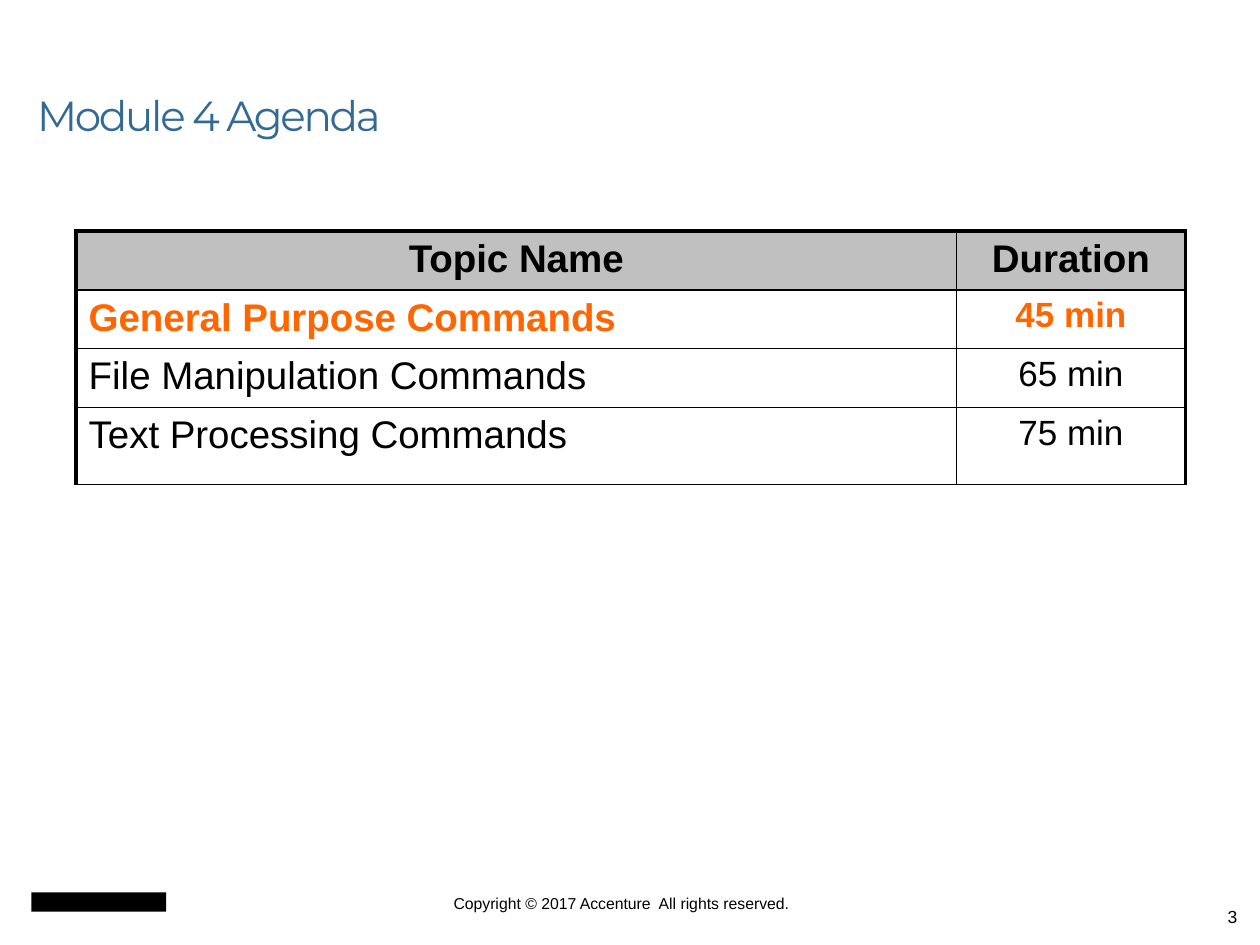
from dataclasses import dataclass

from lxml.etree import SubElement
from pptx import Presentation
from pptx.dml.color import RGBColor
from pptx.enum.shapes import MSO_SHAPE
from pptx.enum.text import MSO_ANCHOR, MSO_AUTO_SIZE, PP_ALIGN
from pptx.oxml.ns import qn
from pptx.slide import Slide
from pptx.table import Table, _Cell
from pptx.text.text import _Paragraph
from pptx.util import Pt


@dataclass(frozen=True)
class Theme:
    """Colours, fonts, type sizes and line widths."""

    ink: str = "000000"
    blue: str = "326A94"
    hot: str = "FF6600"
    head: str = "C0C0C0"
    face: str = "Arial"
    thin_face: str = "Montserrat"
    title: float = 24
    topic: float = 22
    time: float = 20
    page: float = 10
    legal: float = 9
    thick: float = 2.25
    thin: float = 1


@dataclass(frozen=True)
class Row:
    """One agenda line."""

    topic: str
    time: str
    color: str = "000000"
    bold: bool = False
    head: bool = False
    height: float = 31.5


@dataclass(frozen=True)
class Note:
    """One small text at the foot of the slide."""

    text: str
    box: tuple[float, float, float, float]
    size: float
    align: PP_ALIGN
    inset: tuple[float, float]


THEME = Theme()
ROWS = (
    Row("Topic Name", "Duration", bold=True, head=True),
    Row("General Purpose Commands", "45 min", THEME.hot, True),
    Row("File Manipulation Commands", "65 min"),
    Row("Text Processing Commands", "75 min", height=44),
)
WIDTHS = (503, 131)
NOTES = (
    Note("Copyright © 2017 Accenture  All rights reserved.",
         (198, 511, 314, 11), THEME.legal, PP_ALIGN.CENTER, (0, 0)),
    Note("3", (546, 514, 168, 26), THEME.page, PP_ALIGN.RIGHT, (7.2, 3.6)),
)


def style(par: _Paragraph, size: float, color: str = THEME.ink,
          face: str = THEME.face, bold: bool = False) -> None:
    """Set the font of a whole paragraph."""
    font = par.font
    font.name, font.size, font.bold = face, Pt(size), bold
    font.color.rgb = RGBColor.from_string(color)


def add_title(slide: Slide, text: str) -> None:
    """Place and fill the title."""
    title = slide.shapes.title
    title.left, title.top, title.width, title.height = map(Pt, (14, 12, 642, 72))
    frame = title.text_frame
    frame.auto_size = MSO_AUTO_SIZE.NONE
    frame.vertical_anchor = MSO_ANCHOR.BOTTOM
    par = frame.paragraphs[0]
    par.alignment, par.line_spacing = PP_ALIGN.LEFT, 0.9
    run = par.add_run()
    run.text = text
    run._r.get_or_add_rPr().set("spc", "-130")
    style(par, THEME.title, THEME.blue, THEME.thin_face)


def add_note(slide: Slide, note: Note) -> None:
    """Draw one foot text."""
    frame = slide.shapes.add_textbox(*map(Pt, note.box)).text_frame
    frame.word_wrap = True
    frame.margin_left = frame.margin_right = Pt(note.inset[0])
    frame.margin_top = frame.margin_bottom = Pt(note.inset[1])
    par = frame.paragraphs[0]
    par.text, par.alignment = note.text, note.align
    style(par, note.size)


def add_edges(cell: _Cell, first: bool, top: bool) -> None:
    """Rule a cell, heavier along the left, right and top of the table."""
    heavy = {"L": first, "R": not first, "T": top, "B": False}
    props = cell._tc.get_or_add_tcPr()
    for spot, (side, wide) in enumerate(heavy.items()):
        width = Pt(THEME.thick if wide else THEME.thin)
        line = SubElement(props, qn(f"a:ln{side}"), w=str(width))
        fill = SubElement(line, qn("a:solidFill"))
        SubElement(fill, qn("a:srgbClr"), val=THEME.ink)
        props.insert(spot, line)


def fill_row(table: Table, num: int, row: Row) -> None:
    """Write and format one table row."""
    table.rows[num].height = Pt(row.height)
    for col, text in enumerate((row.topic, row.time)):
        cell = table.cell(num, col)
        if row.head:
            cell.fill.solid()
            cell.fill.fore_color.rgb = RGBColor.from_string(THEME.head)
        else:
            cell.fill.background()
        add_edges(cell, col == 0, row.head)
        par = cell.text_frame.paragraphs[0]
        par.text = text
        mid = row.head or col == 1
        par.alignment = PP_ALIGN.CENTER if mid else PP_ALIGN.LEFT
        size = THEME.topic if row.head or col == 0 else THEME.time
        style(par, size, row.color, bold=row.bold)


def add_agenda(slide: Slide) -> None:
    """Draw the agenda table."""
    high = sum(row.height for row in ROWS)
    table = slide.shapes.add_table(
        len(ROWS), len(WIDTHS), Pt(43.5), Pt(132), Pt(sum(WIDTHS)), Pt(high)).table
    table.first_row = table.horz_banding = False
    for col, width in zip(table.columns, WIDTHS):
        col.width = Pt(width)
    for num, row in enumerate(ROWS):
        fill_row(table, num, row)


def add_mark(slide: Slide) -> None:
    """Draw the plain block in the lower left corner."""
    mark = slide.shapes.add_shape(MSO_SHAPE.RECTANGLE, Pt(18), Pt(510), Pt(77), Pt(11))
    mark.shadow.inherit = False
    mark.fill.solid()
    mark.fill.fore_color.rgb = RGBColor.from_string(THEME.ink)
    mark.line.fill.background()


def main() -> None:
    """Build and save the slide."""
    deck = Presentation()
    deck.slide_width, deck.slide_height = Pt(720), Pt(540)
    slide = deck.slides.add_slide(deck.slide_layouts[5])
    add_mark(slide)
    for note in NOTES:
        add_note(slide, note)
    add_title(slide, "Module 4 Agenda")
    add_agenda(slide)
    deck.save("out.pptx")


if __name__ == "__main__":
    main()
